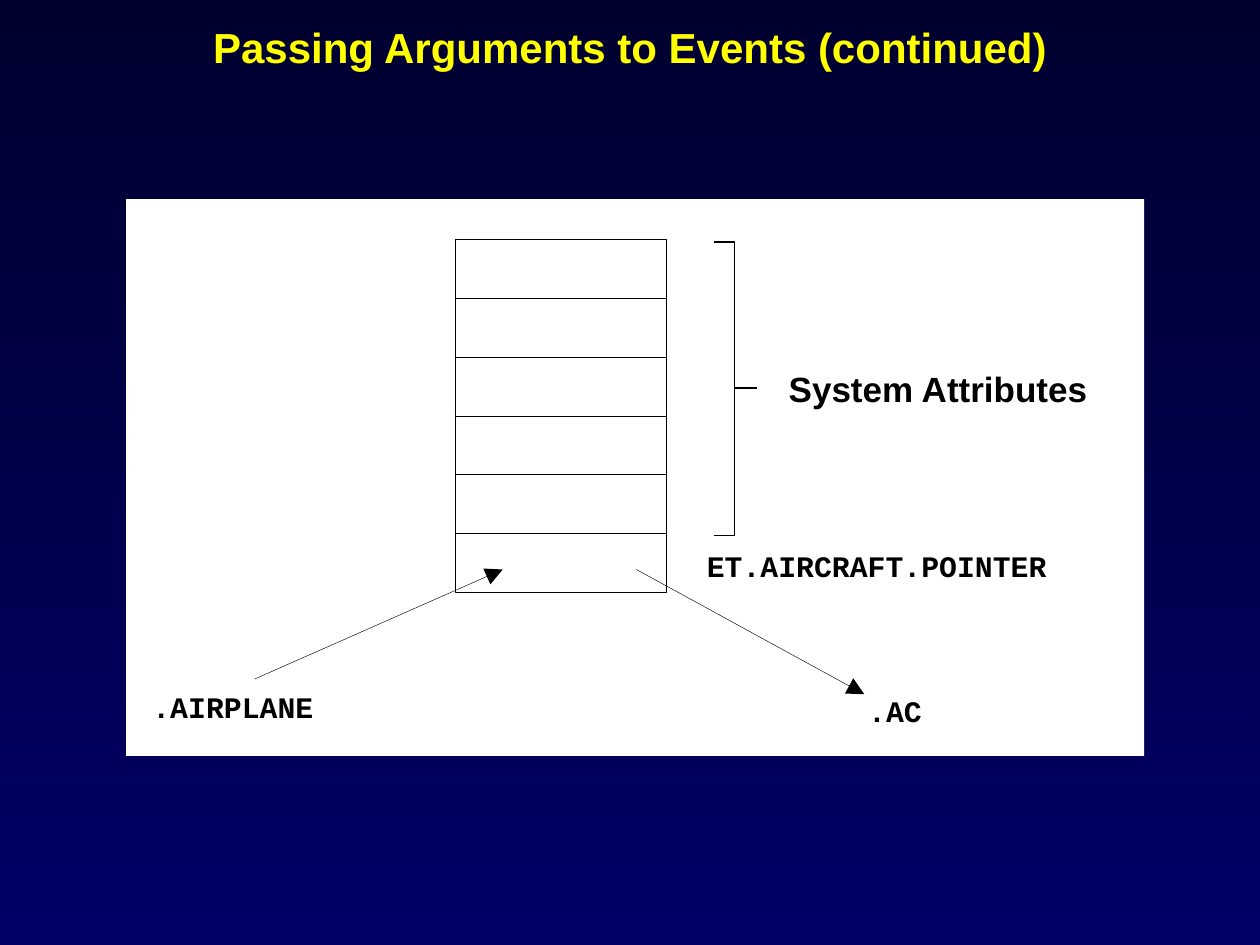
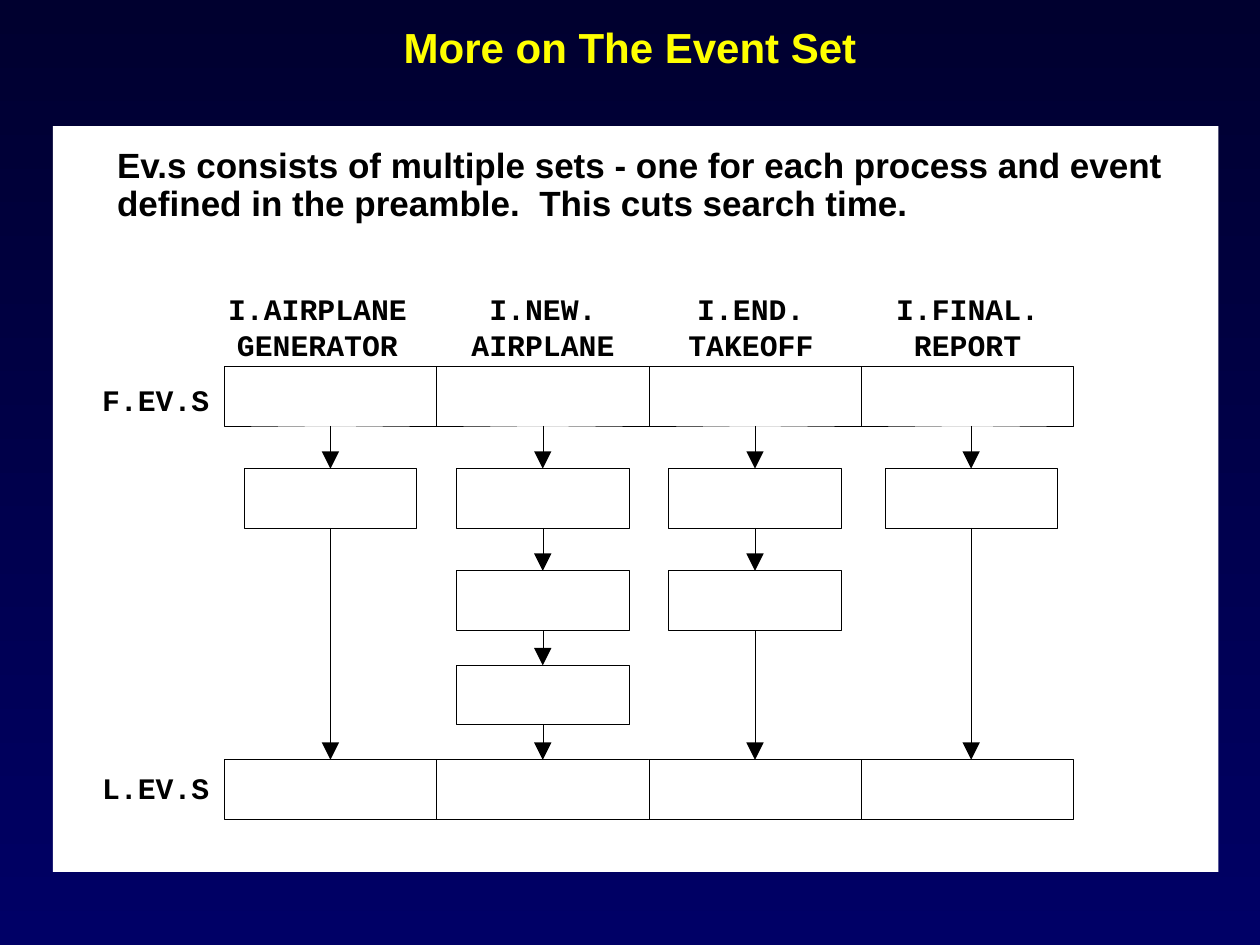
from lxml.etree import SubElement
from pptx import Presentation
from pptx.dml.color import RGBColor
from pptx.enum.shapes import MSO_CONNECTOR, MSO_SHAPE
from pptx.enum.text import MSO_ANCHOR, MSO_AUTO_SIZE, PP_ALIGN
from pptx.oxml.ns import qn
from pptx.util import Inches, Pt

COLORS = {
    "background_top": "00002F",
    "background_bottom": "000066",
    "title": "FFFF00",
    "panel": "FFFFFF",
    "ink": "000000",
}
TITLE_FONT = {"name": "Arial", "size": Pt(24), "bold": True}
BODY_FONT = {"name": "Arial", "size": Pt(20), "bold": True}
CODE_FONT = {"name": "Courier New", "size": Pt(17), "bold": True}
TITLE_FRAME = {"vertical_anchor": MSO_ANCHOR.MIDDLE, "word_wrap": True,
               "auto_size": MSO_AUTO_SIZE.NONE}
TEXT_FRAME = {"margin_left": 0, "margin_top": 0, "margin_right": 0, "margin_bottom": 0}
HAIRLINE = 0.25
BOX_HEIGHT = 0.47
TOP, BOTTOM = 0, 2  # connection sites of a rectangle


def color(name):
    return RGBColor.from_string(COLORS[name])


def apply(target, values):
    for name, value in values.items():
        setattr(target, name, value)


def set_background(master):
    fill = master.background.fill
    fill.gradient()
    fill.gradient_angle = 270
    for stop, name in zip(fill.gradient_stops, ("background_top", "background_bottom")):
        stop.color.rgb = color(name)


def format_paragraph(paragraph, font, color_name, **values):
    apply(paragraph, values)
    apply(paragraph.font, font)
    paragraph.font.color.rgb = color(color_name)


def add_titled_slide(presentation, text):
    slide = presentation.slides.add_slide(presentation.slide_layouts[5])
    title = slide.shapes.title
    apply(title, {"left": 0, "top": Inches(0.08),
                  "width": presentation.slide_width, "height": Inches(0.58)})
    title.text_frame.text = text
    apply(title.text_frame, TITLE_FRAME)
    format_paragraph(title.text_frame.paragraphs[0], TITLE_FONT, "title",
                     alignment=PP_ALIGN.CENTER)
    return slide


def add_rectangle(slide, left, top, width, height, outlined=True):
    shape = slide.shapes.add_shape(MSO_SHAPE.RECTANGLE, Inches(left), Inches(top),
                                   Inches(width), Inches(height))
    shape.shadow.inherit = False
    shape.fill.solid()
    shape.fill.fore_color.rgb = color("panel")
    if outlined:
        shape.line.color.rgb = color("ink")
        shape.line.width = Pt(HAIRLINE)
    else:
        shape.line.fill.background()
    return shape


def add_text(slide, left, top, width, height, lines, font, wrap=False, **values):
    box = slide.shapes.add_textbox(Inches(left), Inches(top), Inches(width), Inches(height))
    frame = box.text_frame
    apply(frame, TEXT_FRAME)
    frame.word_wrap = wrap
    frame.text = "\n".join(lines)
    for paragraph in frame.paragraphs:
        format_paragraph(paragraph, font, "ink", **values)


def add_line(slide, start, end, width=HAIRLINE, arrow=False):
    line = slide.shapes.add_connector(MSO_CONNECTOR.STRAIGHT,
                                      *(Inches(value) for value in (*start, *end)))
    line.line.color.rgb = color("ink")
    line.line.width = Pt(width)
    if arrow:
        SubElement(line.line._get_or_add_ln(), qn("a:tailEnd"),
                   type="triangle", w="lg", len="lg")
    SubElement(line._element.spPr, qn("a:effectLst"))
    return line


def add_down_arrow(slide, x, upper, lower):
    """Drop an arrow at x and join it to each box that is centred there."""
    start_y, end_y = (upper.top + upper.height) / Inches(1), lower.top / Inches(1)
    line = add_line(slide, (x, start_y), (x, end_y), arrow=True)
    for shape, site, connect in ((upper, BOTTOM, line.begin_connect),
                                 (lower, TOP, line.end_connect)):
        if abs(shape.left + shape.width / 2 - Inches(x)) < Inches(0.01):
            connect(shape, site)


def build_arguments_slide(presentation):
    slide = add_titled_slide(presentation, "Passing Arguments to Events (continued)")
    add_rectangle(slide, 1, 1.58, 8.08, 4.42, outlined=False)

    # Record made of stacked fields
    pitch = 2.8 / 6
    for row in range(6):
        add_rectangle(slide, 3.61, 1.9 + row * pitch, 1.68, BOX_HEIGHT)

    # Bracket around the system attributes
    bracket_left, bracket_x, bracket_top, bracket_bottom = 5.67, 5.83, 1.92, 4.25
    for y in (bracket_top, bracket_bottom):
        add_line(slide, (bracket_left, y), (bracket_x, y), 0.75)
    add_line(slide, (bracket_x, bracket_top), (bracket_x, bracket_bottom), 0.75)
    add_line(slide, (bracket_x, 3.08), (6.01, 3.08), 1)

    # Labels
    add_text(slide, 6.26, 2.92, 2.5, 0.33, ["System Attributes"], BODY_FONT)
    for left, top, width, label in ((5.61, 4.35, 2.8, "ET.AIRCRAFT.POINTER"),
                                    (1.21, 5.47, 1.4, ".AIRPLANE"),
                                    (6.89, 5.5, 0.55, ".AC")):
        add_text(slide, left, top, width, 0.28, [label], CODE_FONT)

    # Value passed in and out of the last field
    add_line(slide, (2.02, 5.39), (3.99, 4.52), arrow=True)
    add_line(slide, (5.05, 4.52), (6.86, 5.51), arrow=True)


def build_event_set_slide(presentation):
    slide = add_titled_slide(presentation, "More on The Event Set")
    add_rectangle(slide, 0.42, 1, 9.25, 5.92, outlined=False)
    add_text(slide, 0.93, 1.18, 8.5, 0.62,
             ["Ev.s consists of multiple sets - one for each process and event "
              "defined in the preamble.  This cuts search time."],
             BODY_FONT, wrap=True, line_spacing=0.9)

    # Row labels
    for top, label in ((3.03, "F.EV.S"), (6.11, "L.EV.S")):
        add_text(slide, 0.81, top, 0.95, 0.28, [label], CODE_FONT)

    # One column per event: label lines, label centre, notices, shift of the notices
    columns = (
        (("I.AIRPLANE", "GENERATOR"), 2.52, 1, 0),
        (("I.NEW.", "AIRPLANE"), 4.31, 3, 0),
        (("I.END.", "TAKEOFF"), 5.96, 2, 0),
        (("I.FINAL.", "REPORT"), 7.68, 1, 0.03),
    )
    cell_width, notice_width = 1.685, 1.37
    notice_tops = (3.72, 4.53, 5.28)
    for index, (label, label_center, notice_count, shift) in enumerate(columns):
        left = 1.78 + index * cell_width
        x = left + cell_width / 2 + shift
        add_text(slide, label_center - cell_width / 2, 2.31, cell_width, 0.56, label,
                 CODE_FONT, wrap=True, alignment=PP_ALIGN.CENTER)
        first = add_rectangle(slide, left, 2.91, cell_width, BOX_HEIGHT)
        notices = [add_rectangle(slide, x - notice_width / 2, top, notice_width, BOX_HEIGHT)
                   for top in notice_tops[:notice_count]]
        last = add_rectangle(slide, left, 6.03, cell_width, BOX_HEIGHT)
        chain = [first, *notices, last]
        for upper, lower in zip(chain, chain[1:]):
            add_down_arrow(slide, x, upper, lower)


def main():
    presentation = Presentation()
    presentation.slide_width = Inches(10)
    presentation.slide_height = Inches(7.5)
    set_background(presentation.slide_master)
    build_arguments_slide(presentation)
    build_event_set_slide(presentation)
    presentation.save("out.pptx")


if __name__ == "__main__":
    main()
